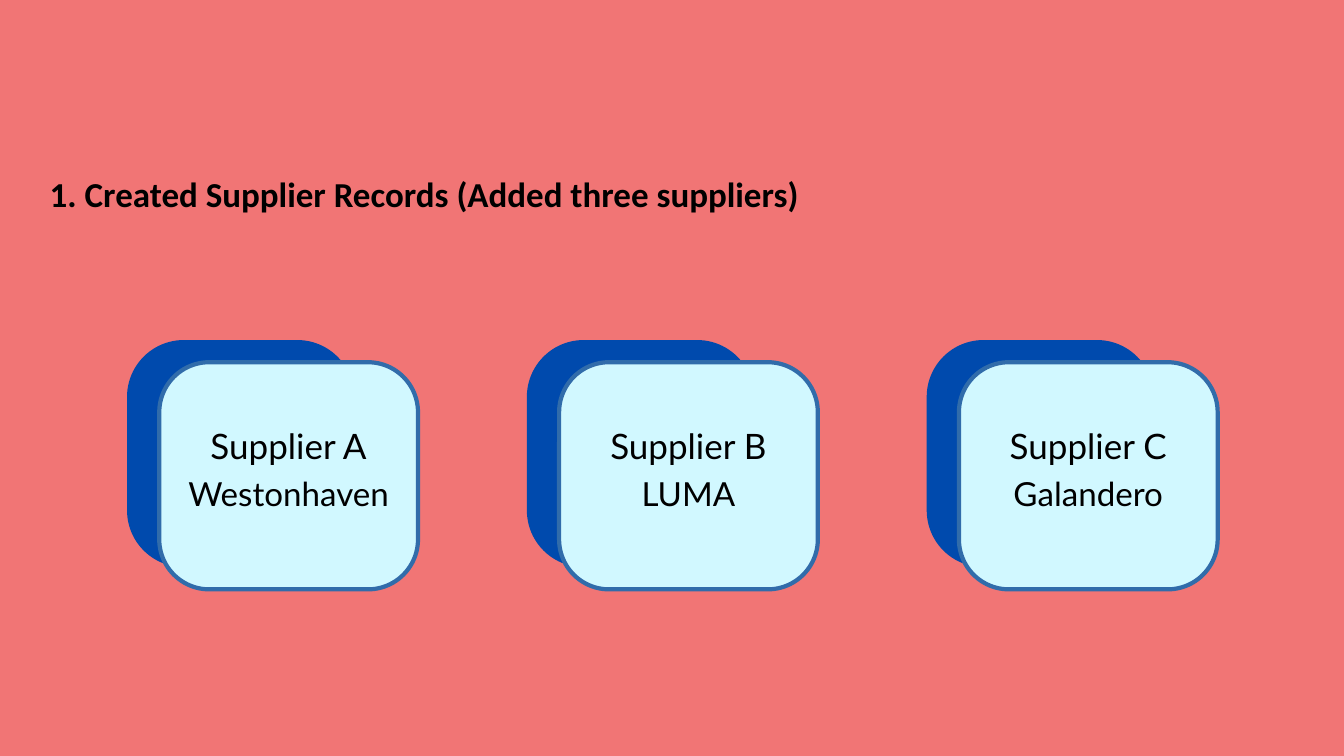
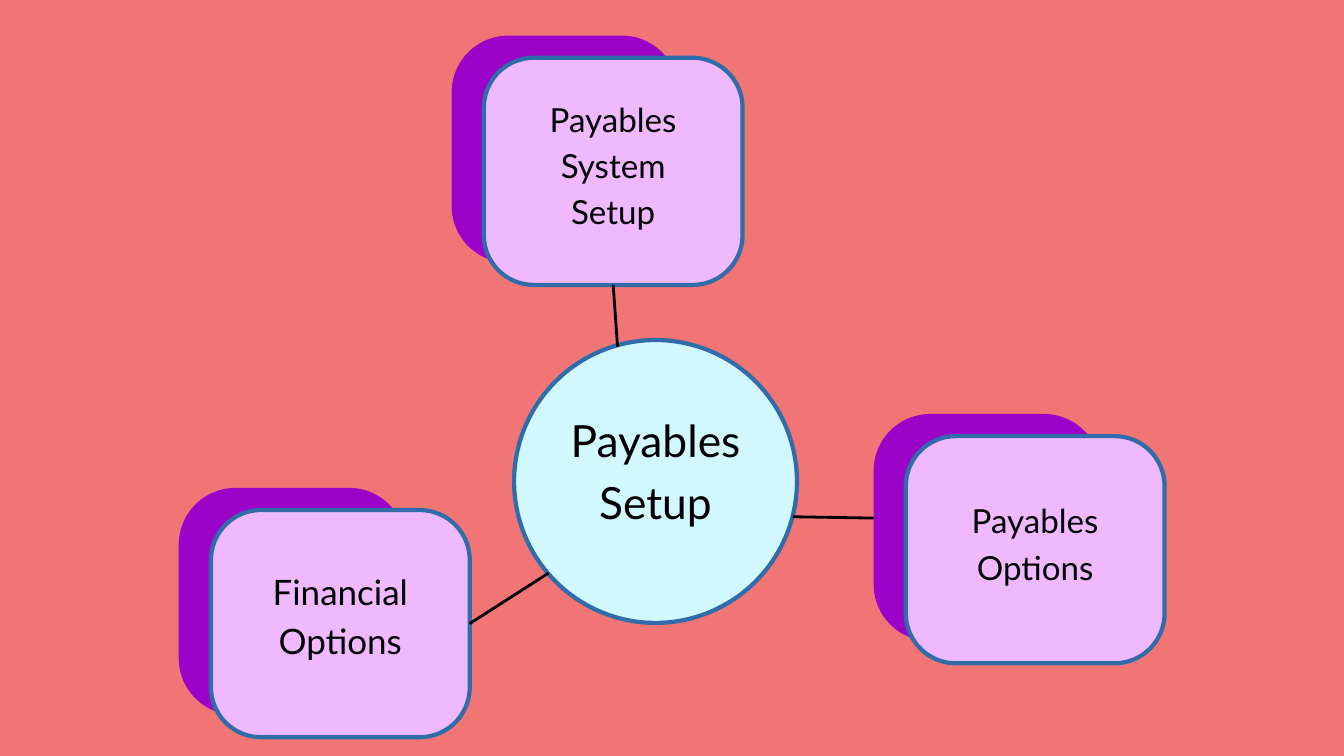
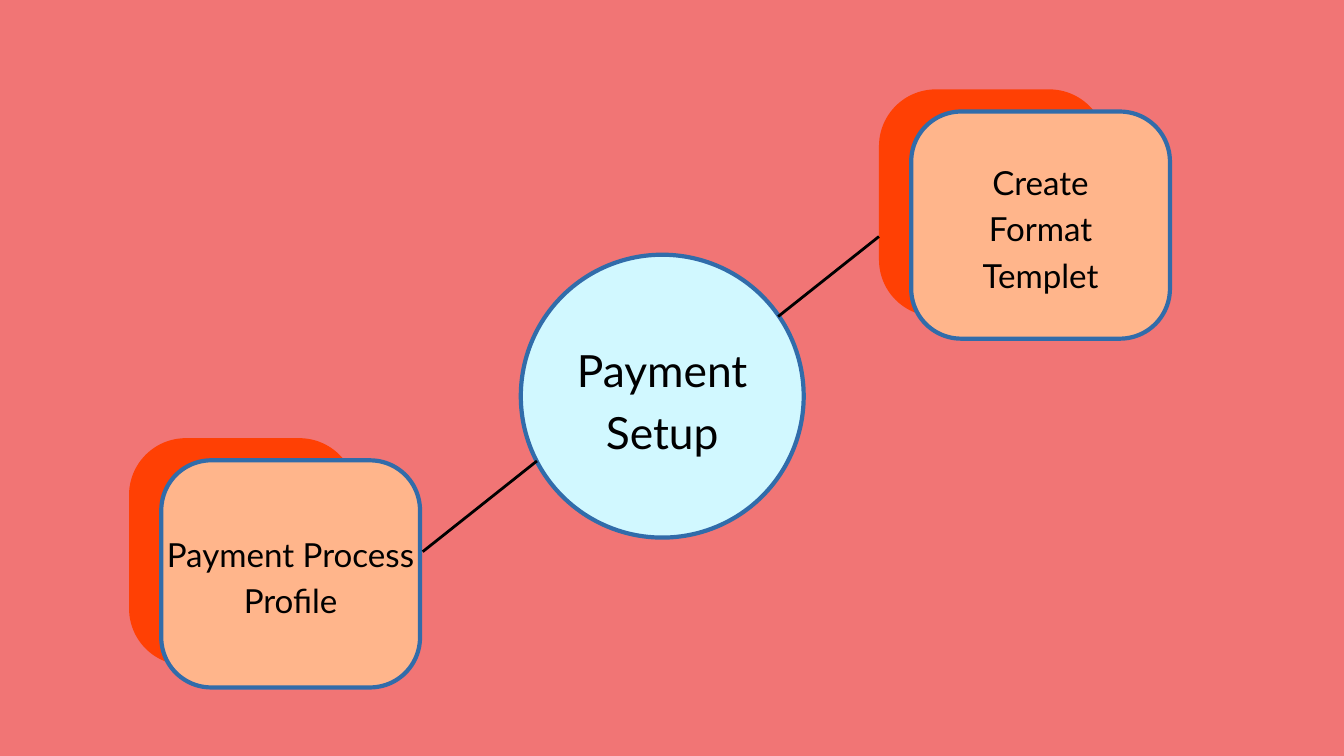
"""Build three slides on supplier records, payables setup and payment setup."""
from dataclasses import dataclass

import pptx
import pptx.dml.color
import pptx.enum.shapes
import pptx.enum.text
import pptx.oxml.ns
import pptx.util
from lxml import etree

RGBColor = pptx.dml.color.RGBColor
CORAL = RGBColor(0xF1, 0x75, 0x75)
OUTLINE_BLUE = RGBColor(0x31, 0x6C, 0xAA)
ICE = RGBColor(0xD1, 0xF8, 0xFF)
COBALT = RGBColor(0x00, 0x4A, 0xAD)
LILAC = RGBColor(0xEF, 0xB9, 0xFF)
PURPLE = RGBColor(0x9B, 0x03, 0xC8)
PEACH = RGBColor(0xFF, 0xB5, 0x8B)
ORANGE = RGBColor(0xFF, 0x40, 0x04)
BLACK = RGBColor(0, 0, 0)

SLIDE_WIDTH = pptx.util.Inches(20)
SLIDE_HEIGHT = pptx.util.Inches(11.25)
COLUMNS, ROWS = 20, 11.25
TITLE_ONLY, BLANK = 5, 6

TITLE_FONT, BODY_FONT = "Calibri", "Lato"
LARGE, MEDIUM, HUB_SIZE = 37.5, 35.5, 47.5
LEADING = 1.4
INSET = 0.06

BACK_SIDE = 3.38
FRONT_WIDTH, FRONT_HEIGHT = 3.85, 3.38
FRONT_SHIFT_X, FRONT_SHIFT_Y = 0.48, 0.33
BACK_ROUNDING, FRONT_ROUNDING = 0.25, 0.22
HUB_DIAMETER = 4.21
SUPPLIER_LEFT, SUPPLIER_TOP, SUPPLIER_PITCH = 1.89, 5.06, 5.95

BOTTOM_SITE, RIGHT_SITE = 2, 3


@dataclass(frozen=True)
class Palette:
    """Front and back colours of a layered card."""
    front: RGBColor
    back: RGBColor


@dataclass(frozen=True)
class Card:
    """A layered card, placed by the corner of its back square."""
    left: float
    top: float
    lines: tuple[str, ...]
    sizes: tuple[float, ...]
    lift: float = 0


@dataclass(frozen=True)
class Hub:
    """The circle in the middle of a setup diagram."""
    left: float
    top: float
    lines: tuple[str, ...]
    lift: float = 0


@dataclass(frozen=True)
class Link:
    """A line from a card to the hub, joined to a card side if one is named."""
    start: tuple[float, float]
    end: tuple[float, float]
    card: int | None = None
    site: int | None = None


@dataclass(frozen=True)
class Diagram:
    """One setup slide."""
    palette: Palette
    cards: tuple[Card, ...]
    hub: Hub
    links: tuple[Link, ...]


SUPPLIERS = (
    ("Supplier A", "Westonhaven"),
    ("Supplier B", "LUMA"),
    ("Supplier C", "Galandero"),
)
SUPPLIER_PALETTE = Palette(ICE, COBALT)

PAYABLES = Diagram(
    Palette(LILAC, PURPLE),
    (
        Card(2.66, 7.26, ("Financial", "Options"), (LARGE,) * 2, 0.16),
        Card(6.72, 0.53, ("Payables", "System", "Setup"), (MEDIUM,) * 3, 0.14),
        Card(13, 6.16, ("Payables", "Options"), (MEDIUM,) * 2, 0.14),
    ),
    Hub(7.65, 5.06, ("Payables", "Setup"), 0.22),
    (
        Link((9.12, 4.24), (9.19, 5.16), 1, BOTTOM_SITE),
        Link((13, 7.71), (11.8, 7.69)),
        Link((6.99, 9.28), (8.16, 8.53), 0, RIGHT_SITE),
    ),
)

PAYMENT = Diagram(
    Palette(PEACH, ORANGE),
    (
        Card(1.92, 6.52, ("Payment Process", "Profile"), (MEDIUM,) * 2),
        Card(13.08, 1.33, ("Create", "Format", "Templet"), (MEDIUM,) * 3),
    ),
    Hub(7.75, 3.79, ("Payment", "Setup")),
    (
        Link((13.08, 3.52), (11.58, 4.71)),
        Link((6.29, 8.21), (7.99, 6.86)),
    ),
)


def across(columns: float) -> int:
    """Turn grid columns into a length."""
    return round(SLIDE_WIDTH * columns / COLUMNS)


def down(rows: float) -> int:
    """Turn grid rows into a length."""
    return round(SLIDE_HEIGHT * rows / ROWS)


def add_filled(slide, kind, left: float, top: float, width: float,
               height: float, colour: RGBColor, outlined: bool):
    """Add a flat shape, with the shared outline or none."""
    shape = slide.shapes.add_shape(
        kind, across(left), down(top), across(width), down(height))
    shape.shadow.inherit = False
    shape.fill.solid()
    shape.fill.fore_color.rgb = colour
    if outlined:
        shape.line.color.rgb = OUTLINE_BLUE
        shape.line.width = pptx.util.Pt(4.5)
    else:
        shape.line.fill.background()
    return shape


def style_paragraph(paragraph, size: float, font_name: str, alignment) -> None:
    """Set the font, alignment and exact leading of a paragraph."""
    paragraph.alignment = alignment
    paragraph.line_spacing = pptx.util.Pt(round(size * LEADING, 1))
    paragraph.font.size = pptx.util.Pt(size)
    paragraph.font.name = font_name
    paragraph.font.color.rgb = BLACK


def write_lines(shape, lines: tuple[str, ...], sizes: tuple[float, ...],
                lift: float) -> None:
    """Write centred lines in a shape, raised above its middle by the lift."""
    frame = shape.text_frame
    frame.word_wrap = False
    frame.vertical_anchor = pptx.enum.text.MSO_ANCHOR.MIDDLE
    frame.margin_left = frame.margin_right = across(INSET)
    frame.margin_top = down(INSET)
    frame.margin_bottom = down(INSET + 2 * lift)
    frame.text = "\n".join(lines)
    for paragraph, size in zip(frame.paragraphs, sizes):
        style_paragraph(paragraph, size, BODY_FONT, pptx.enum.text.PP_ALIGN.CENTER)


def draw_card(slide, card: Card, palette: Palette):
    """Draw a layered card and return its front."""
    rounded = pptx.enum.shapes.MSO_SHAPE.ROUNDED_RECTANGLE
    back = add_filled(slide, rounded, card.left, card.top,
                      BACK_SIDE, BACK_SIDE, palette.back, False)
    back.adjustments[0] = BACK_ROUNDING
    front = add_filled(slide, rounded, card.left + FRONT_SHIFT_X,
                       card.top + FRONT_SHIFT_Y, FRONT_WIDTH, FRONT_HEIGHT,
                       palette.front, True)
    front.adjustments[0] = FRONT_ROUNDING
    write_lines(front, card.lines, card.sizes, card.lift)
    return front


def draw_hub(slide, hub: Hub) -> None:
    """Draw the central circle."""
    circle = add_filled(slide, pptx.enum.shapes.MSO_SHAPE.OVAL, hub.left,
                        hub.top, HUB_DIAMETER, HUB_DIAMETER, ICE, True)
    write_lines(circle, hub.lines, (HUB_SIZE,) * len(hub.lines), hub.lift)


def draw_link(slide, link: Link, fronts: list) -> None:
    """Draw a black line from a card to the hub."""
    line = slide.shapes.add_connector(
        pptx.enum.shapes.MSO_CONNECTOR.STRAIGHT,
        across(link.start[0]), down(link.start[1]),
        across(link.end[0]), down(link.end[1]))
    line.line.color.rgb = BLACK
    line.line.width = pptx.util.Pt(3)
    etree.SubElement(line._element.spPr, pptx.oxml.ns.qn("a:effectLst"))
    if link.card is not None:
        line.begin_connect(fronts[link.card], link.site)


def build_suppliers(deck) -> None:
    """Build the slide with the three supplier cards."""
    slide = deck.slides.add_slide(deck.slide_layouts[TITLE_ONLY])
    title = slide.shapes.title
    title.left, title.top = across(0.74), down(2.47)
    title.width, title.height = across(12.39), down(0.73)
    frame = title.text_frame
    frame.text = "1. Created Supplier Records (Added three suppliers)"
    frame.word_wrap = True
    frame.auto_size = pptx.enum.text.MSO_AUTO_SIZE.NONE
    frame.vertical_anchor = pptx.enum.text.MSO_ANCHOR.TOP
    frame.margin_left = frame.margin_right = 0
    frame.margin_top = frame.margin_bottom = 0
    heading = frame.paragraphs[0]
    heading.space_before = pptx.util.Pt(0)
    style_paragraph(heading, LARGE, TITLE_FONT, pptx.enum.text.PP_ALIGN.LEFT)
    heading.font.bold = True
    for index, names in enumerate(SUPPLIERS):
        left = SUPPLIER_LEFT + index * SUPPLIER_PITCH
        card = Card(left, SUPPLIER_TOP, names, (LARGE, MEDIUM), 0.16)
        draw_card(slide, card, SUPPLIER_PALETTE)


def build_diagram(deck, diagram: Diagram) -> None:
    """Build a setup slide with its cards, hub and links."""
    slide = deck.slides.add_slide(deck.slide_layouts[BLANK])
    fronts = [draw_card(slide, card, diagram.palette) for card in diagram.cards]
    draw_hub(slide, diagram.hub)
    for link in diagram.links:
        draw_link(slide, link, fronts)


def main() -> None:
    """Build and save the presentation."""
    deck = pptx.Presentation()
    deck.slide_width, deck.slide_height = SLIDE_WIDTH, SLIDE_HEIGHT
    backdrop = deck.slide_master.background.fill
    backdrop.solid()
    backdrop.fore_color.rgb = CORAL
    build_suppliers(deck)
    for diagram in (PAYABLES, PAYMENT):
        build_diagram(deck, diagram)
    deck.save("out.pptx")


if __name__ == "__main__":
    main()
